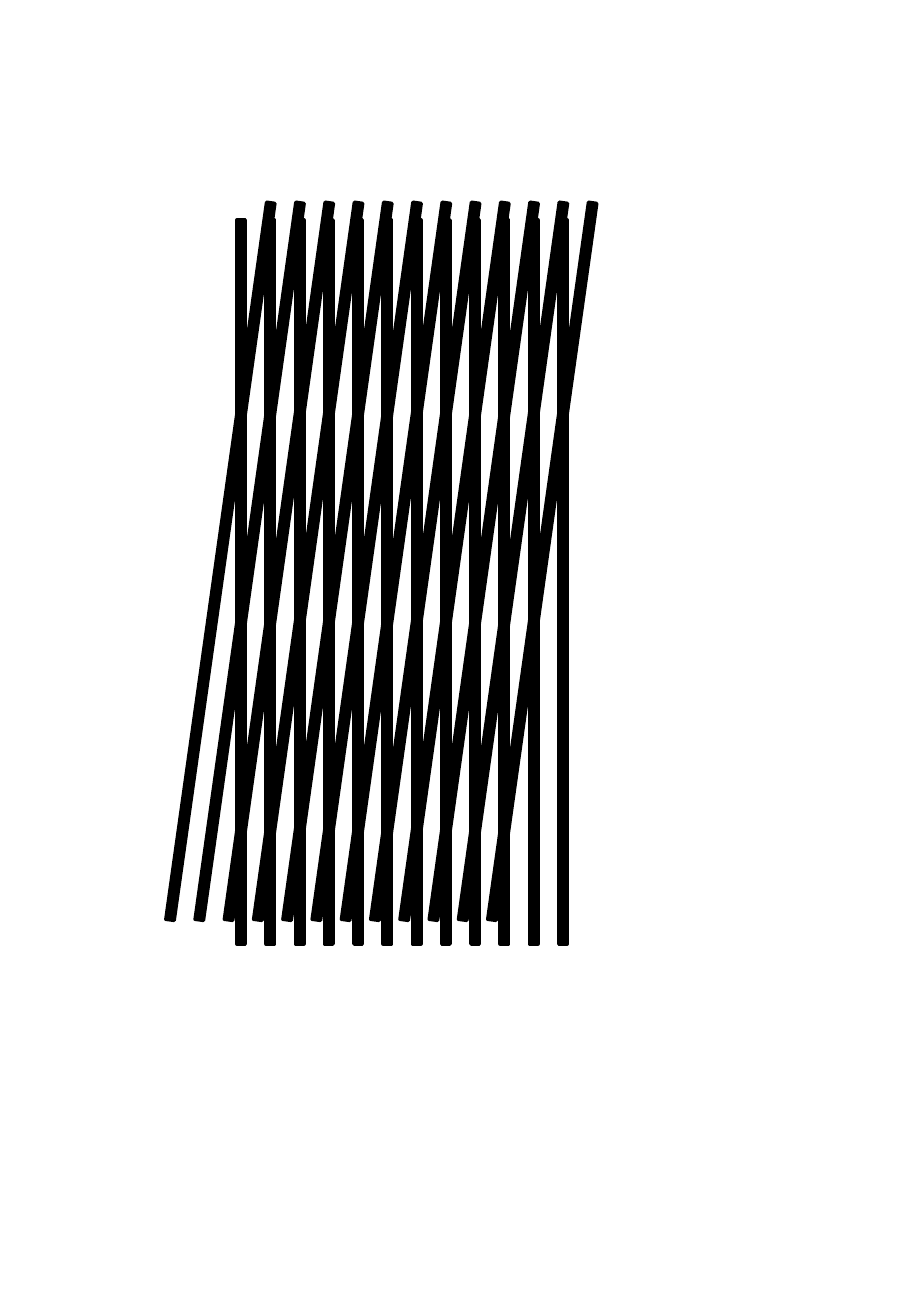
from pptx import Presentation
from pptx.dml.color import RGBColor
from pptx.enum.shapes import MSO_SHAPE as Shape
from pptx.util import Inches, Pt

COLOURS = {"bar": "000000"}
PAGE_WIDTH, PAGE_HEIGHT = 7.5, 10.83
BAR_WIDTH, BAR_HEIGHT = 0.07, 5.96
BAR_COUNT = 12
PITCH = 2.65 / (BAR_COUNT - 1)


def add_bar(page, left, top, angle):
    """Add one thin black bar turned by the given angle."""
    bar = page.shapes.add_shape(
        Shape.RECTANGLE, Inches(left), Inches(top),
        Inches(BAR_WIDTH), Inches(BAR_HEIGHT))
    bar.rotation = angle
    bar.shadow.inherit = False
    colour = RGBColor.from_string(COLOURS["bar"])
    bar.fill.solid()
    bar.fill.fore_color.rgb = colour
    bar.line.color.rgb = colour
    bar.line.width = Pt(2)


def add_grating(page, left, top, angle=0):
    """Add a row of evenly spaced parallel bars."""
    for column in range(BAR_COUNT):
        add_bar(page, left + column * PITCH, top, angle)


def main():
    """Build the moiré pattern from a tilted and an upright grating."""
    deck = Presentation()
    deck.slide_width = Inches(PAGE_WIDTH)
    deck.slide_height = Inches(PAGE_HEIGHT)
    page = deck.slides.add_slide(deck.slide_layouts[6])
    add_grating(page, left=1.78, top=1.64, angle=8)
    add_grating(page, left=1.95, top=1.81)
    deck.save("out.pptx")


if __name__ == "__main__":
    main()
